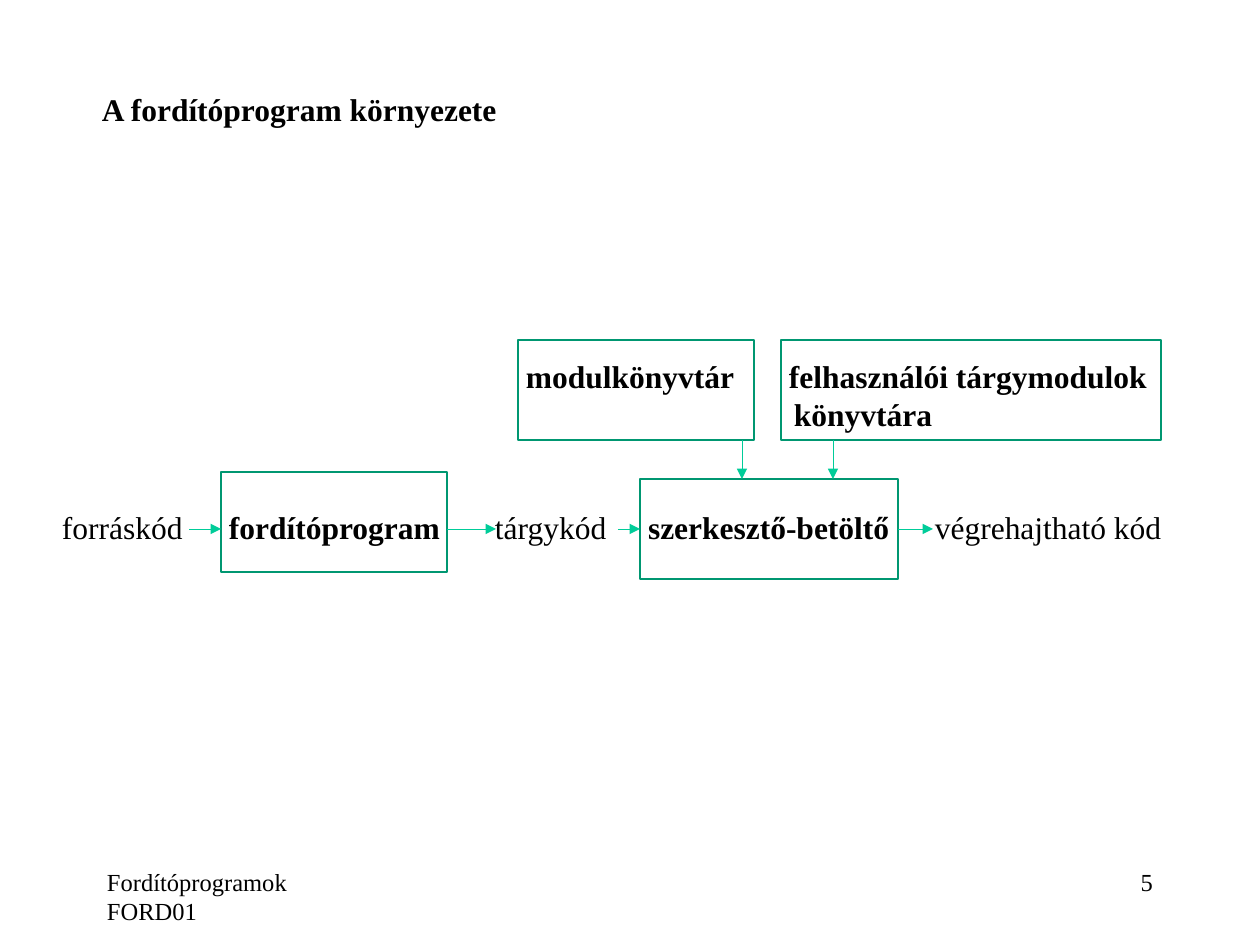
from lxml.etree import SubElement
from pptx import Presentation
from pptx.dml.color import RGBColor
from pptx.enum.shapes import MSO_CONNECTOR, MSO_SHAPE
from pptx.enum.text import MSO_ANCHOR, PP_ALIGN
from pptx.oxml.ns import qn
from pptx.util import Pt

PX = 914400 / 126
COLORS = {"text": "000000", "border": "009771", "arrow": "00CC99"}
FONT = "Times New Roman"


def px(*lengths):
    return [round(length * PX) for length in lengths]


def color(name):
    return RGBColor.from_string(COLORS[name])


def apply(target, values):
    for name, value in values.items():
        setattr(target, name, value)


def write(shape, lines, size=18, bold=False, align=PP_ALIGN.LEFT,
          wrap=False, inset=(0, 0), indents=()):
    frame = shape.text_frame
    left, top = px(*inset)
    apply(frame, {"word_wrap": wrap, "vertical_anchor": MSO_ANCHOR.TOP,
                  "margin_left": left, "margin_right": 0 if align == PP_ALIGN.LEFT else left,
                  "margin_top": top, "margin_bottom": 0})
    for index, line in enumerate(lines):
        para = frame.paragraphs[0] if index == 0 else frame.add_paragraph()
        para.alignment = align
        if index < len(indents):
            para._p.get_or_add_pPr().set("marL", str(px(indents[index])[0]))
        span = para.add_run()
        span.text = line
        apply(span.font, {"name": FONT, "size": Pt(size), "bold": bold})
        span.font.color.rgb = color("text")


def add_label(page, box, text, **style):
    write(page.shapes.add_textbox(*px(*box)), [text], **{"wrap": True, **style})


def add_block(page, box, lines, text_top, indents=()):
    block = page.shapes.add_shape(MSO_SHAPE.RECTANGLE, *px(*box))
    block.shadow.inherit = False
    block.fill.background()
    block.line.color.rgb = color("border")
    block.line.width = Pt(1)
    write(block, lines, bold=True, wrap=True, inset=(8, text_top), indents=indents)
    return block


def add_arrow(page, start, end, source=None, target=None):
    arrow = page.shapes.add_connector(MSO_CONNECTOR.STRAIGHT, *px(*start, *end))
    arrow.line.color.rgb = color("arrow")
    arrow.line.width = Pt(0.5)
    SubElement(arrow.line._get_or_add_ln(), qn("a:tailEnd"), type="triangle")
    SubElement(arrow._element.spPr, qn("a:effectLst"))
    if source:
        arrow.begin_connect(source, 3)
    if target:
        arrow.end_connect(target, 1)


def add_title(page, box):
    add_label(page, box, "A fordítóprogram környezete", bold=True)


def add_diagram(page, box):
    left, top, width, height = box
    block_height = 100
    row = top + 189
    text_top = row - 21
    linker_top = row - block_height // 2
    library_bottom = top + block_height

    add_block(page, (left + 456, top, 236, block_height), ["modulkönyvtár"], 17)
    add_block(page, (left + 719, top, width - 719, block_height),
              ["felhasználói tárgymodulok", "könyvtára"], 17, indents=(0, 5))
    compiler_top = top + 132
    add_block(page, (left + 159, compiler_top, 226, block_height),
              ["fordítóprogram"], text_top - compiler_top)
    linker = add_block(page, (left + 578, linker_top, 258, block_height),
                       ["szerkesztő-betöltő"], text_top - linker_top)

    for x, label_width, text in ((0, 150, "forráskód"), (433, 140, "tárgykód"),
                                 (873, 280, "végrehajtható kód")):
        add_label(page, (left + x, text_top, label_width, 38), text)

    for x in (680, 771):
        add_arrow(page, (left + x, library_bottom), (left + x, linker_top))
    for start, end, source, target in ((127, 159, None, None), (385, 434, None, None),
                                       (556, 578, None, linker), (836, 871, linker, None)):
        add_arrow(page, (left + start, row), (left + end, row), source, target)


def add_footer(page, box):
    left, top, width, height = box
    cell = 262
    style = {"size": 14, "inset": (13, 6)}
    add_label(page, (left, top, cell - 13, height), "Fordítóprogramok FORD01", **style)
    add_label(page, (left + width - cell, top, cell, height), "5",
              align=PP_ALIGN.RIGHT, **style)


def main():
    deck = Presentation()
    deck.slide_width, deck.slide_height = px(1260, 945)
    page = deck.slides.add_slide(deck.slide_layouts[6])
    add_footer(page, (94, 861, 1072, 63))
    add_diagram(page, (62, 340, 1099, 239))
    add_title(page, (102, 90, 450, 38))
    deck.save("out.pptx")


if __name__ == "__main__":
    main()
